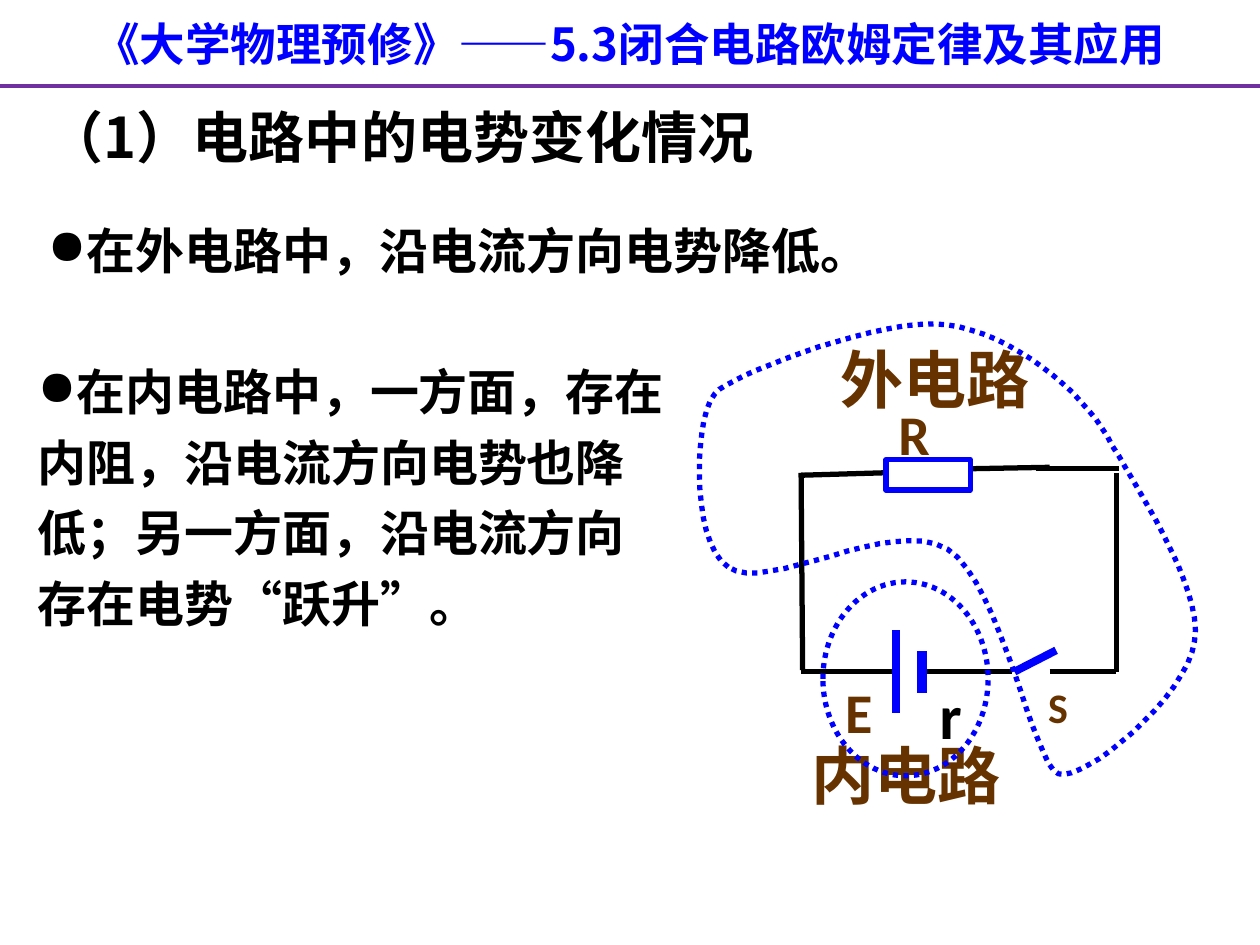
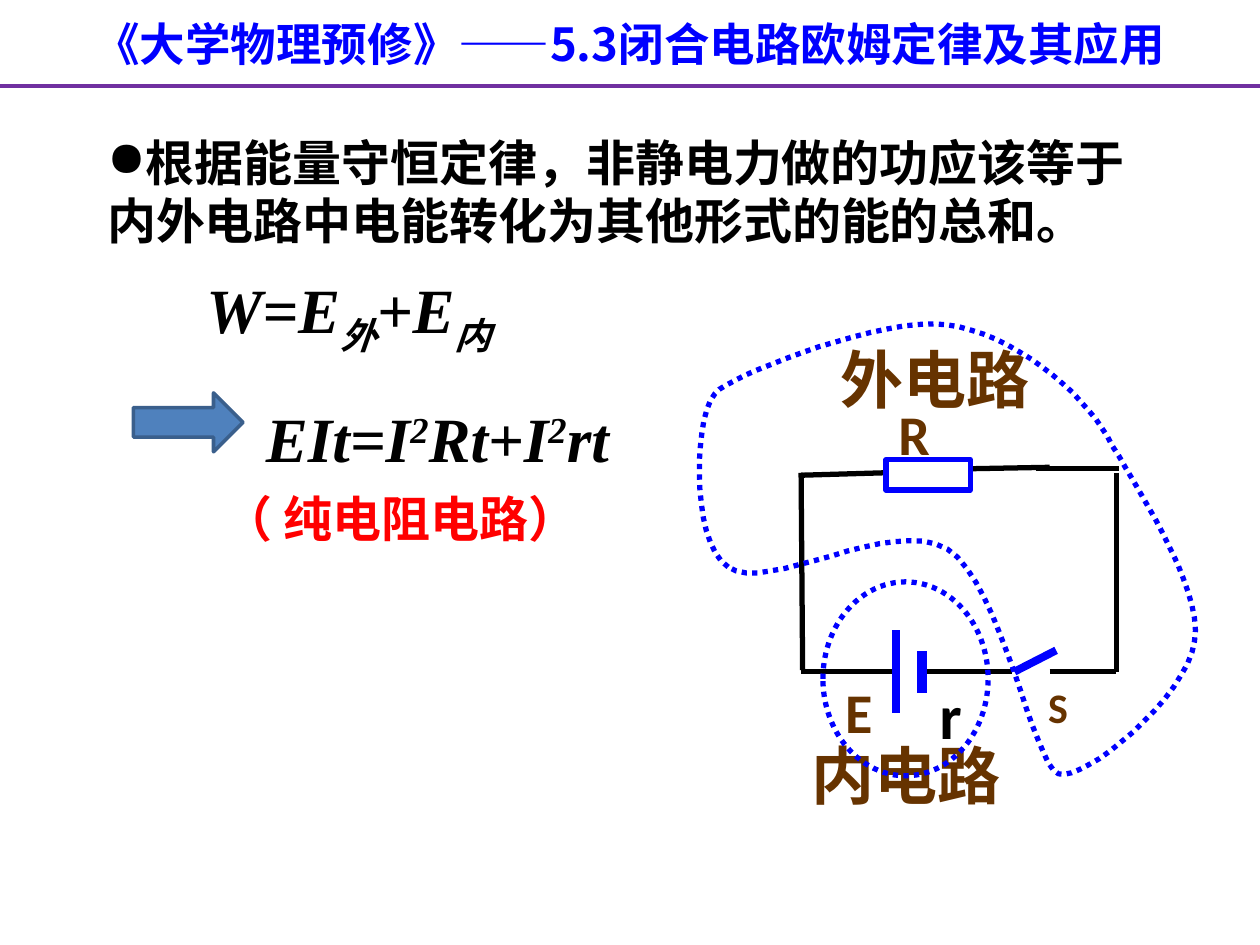
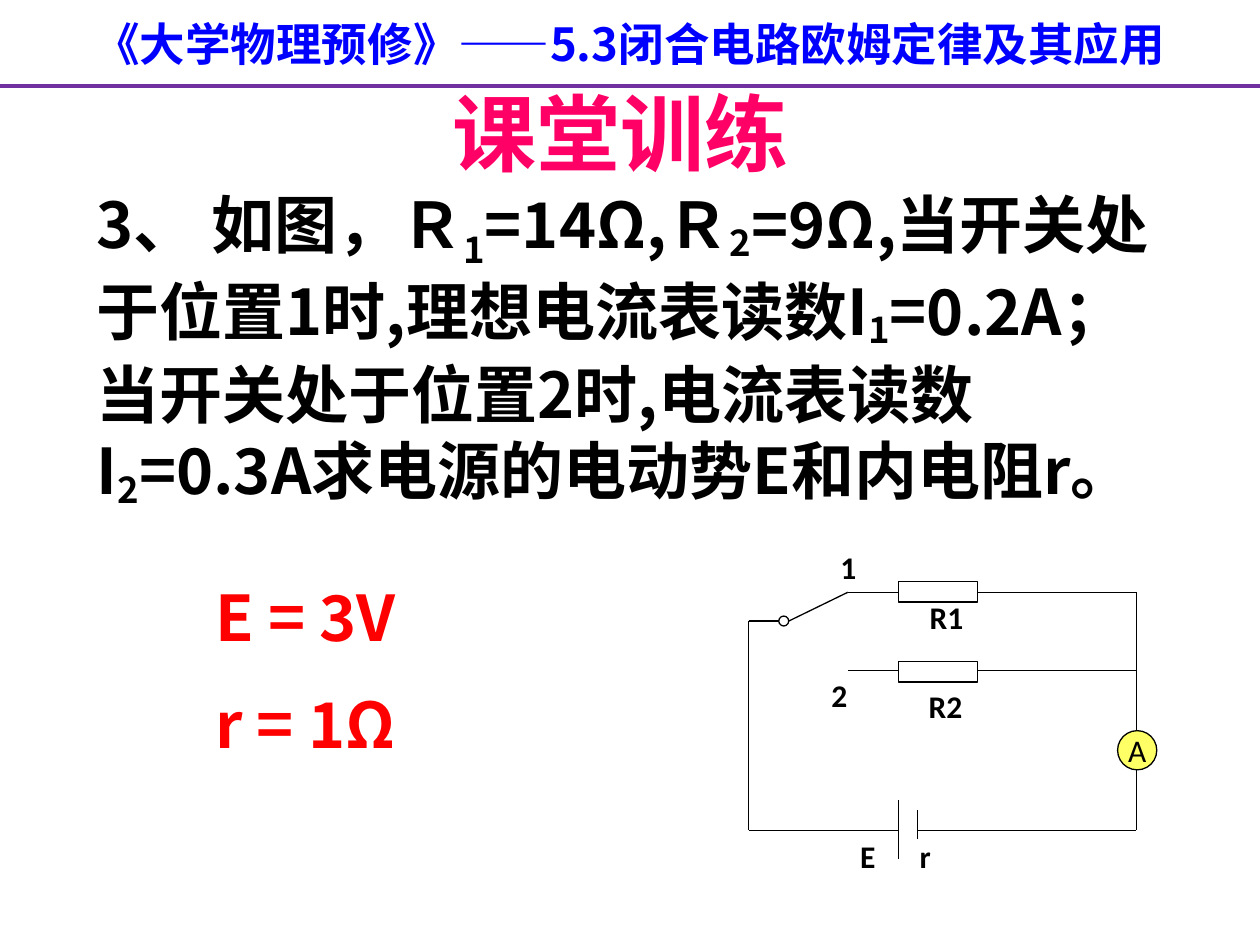
from dataclasses import dataclass

from lxml import etree
from pptx import Presentation
from pptx.dml.color import RGBColor
from pptx.enum.dml import MSO_LINE
from pptx.enum.shapes import MSO_CONNECTOR, MSO_SHAPE
from pptx.enum.text import MSO_ANCHOR, MSO_AUTO_SIZE, PP_ALIGN
from pptx.oxml.ns import qn
from pptx.util import Cm, Pt

STRAIGHT = MSO_CONNECTOR.STRAIGHT
RECT, OVAL, ARROW = MSO_SHAPE.RECTANGLE, MSO_SHAPE.OVAL, MSO_SHAPE.RIGHT_ARROW
DOTTED = MSO_LINE.ROUND_DOT
LEFT, CENTER = PP_ALIGN.LEFT, PP_ALIGN.CENTER
TOP, MIDDLE = MSO_ANCHOR.TOP, MSO_ANCHOR.MIDDLE
GROW, FIXED = MSO_AUTO_SIZE.SHAPE_TO_FIT_TEXT, MSO_AUTO_SIZE.NONE


@dataclass(frozen=True)
class Theme:
    black: RGBColor = RGBColor(0, 0, 0)
    blue: RGBColor = RGBColor(0, 0, 0xFF)
    purple: RGBColor = RGBColor(0x70, 0x30, 0xA0)
    brown: RGBColor = RGBColor(0x66, 0x33, 0)
    red: RGBColor = RGBColor(0xFF, 0, 0)
    pink: RGBColor = RGBColor(0xFF, 0, 0x66)
    yellow: RGBColor = RGBColor(0xFF, 0xFF, 0x66)
    arrow: RGBColor = RGBColor(0x4F, 0x81, 0xBD)
    arrow_edge: RGBColor = RGBColor(0x3A, 0x5F, 0x8C)
    sc: str = "Noto Sans CJK SC"
    jp: str = "Noto Sans CJK JP"
    arial: str = "Arial"
    calibri: str = "Calibri"
    times: str = "Times New Roman"
    header: int = 26
    heading: int = 32
    body: int = 28
    large: int = 36
    display: int = 48
    switch: int = 24
    label: int = 18
    leading: float = 1.2


T = Theme()


def write(shapes, box, paragraphs, size, font, color=T.black, sp=None, bold=True,
          italic=False, align=LEFT, bullet=False, leading=T.leading):
    """Fill sp, or a new text box; a run is (text, baseline in percent, font)."""
    box = [Cm(v) for v in box]
    sp = sp or shapes.add_textbox(*box)
    sp.left, sp.top, sp.width, sp.height = box
    tf = sp.text_frame
    tf.word_wrap, tf.auto_size, tf.vertical_anchor = True, GROW, TOP
    for i, runs in enumerate(paragraphs):
        p = tf.add_paragraph() if i else tf.paragraphs[0]
        if bullet:
            etree.SubElement(p._p.get_or_add_pPr(), qn("a:buChar"), char="●")
        p.alignment = align
        p.line_spacing = Pt(round(size * leading, 1))
        p.space_before = Pt(size / 2 if i else 0)
        for text, baseline, face in [(runs, 0, font)] if isinstance(runs, str) else runs:
            r = p.add_run()
            r.text = text
            r.font.size, r.font.bold, r.font.italic = Pt(size), bold, italic
            r.font.color.rgb = color
            r.font.name = face
            rPr = r._r.get_or_add_rPr()
            east_asian = face if face in (T.sc, T.jp) else T.sc
            etree.SubElement(rPr, qn("a:ea"), typeface=east_asian)
            if baseline:
                rPr.set("baseline", str(baseline * 1000))
    return sp


def add_line(shapes, x1, y1, x2, y2, color=T.black, width=3):
    line = shapes.add_connector(STRAIGHT, Cm(x1), Cm(y1), Cm(x2), Cm(y2))
    line.line.color.rgb = color
    line.line.width = Pt(width)
    etree.SubElement(line._element.spPr, qn("a:effectLst"))
    return line


prs = Presentation()
prs.slide_width, prs.slide_height = Cm(25.4), Cm(19.05)
title_only, blank = prs.slide_layouts[5], prs.slide_layouts[6]
potential = prs.slides.add_slide(title_only)
energy = prs.slides.add_slide(blank)
practice = prs.slides.add_slide(title_only)

# Header shared through the master
header = write(potential.shapes, (0, 0.2, 25.4, 1.37),
               ["《大学物理预修》——5.3闭合电路欧姆定律及其应用"],
               T.header, T.sc, T.blue, align=CENTER)
rule = add_line(potential.shapes, 0, 1.73, 25.4, 1.73, T.purple, 2.25)
for number, sp in enumerate((header, rule), 101):
    sp._element.xpath(".//p:cNvPr")[0].set("id", str(number))
    prs.slide_master.shapes.element.append(sp._element)

# Slide 1: potential around the circuit
s = potential.shapes
write(s, (0.71, 1.93, 16.99, 1.63), ["（1）电路中的电势变化情况"],
      T.heading, T.sc, sp=s.title)
write(s, (0.71, 4.32, 17.2, 1.45), ["在外电路中，沿电流方向电势降低。"],
      T.body, T.arial, bullet=True)
write(s, (0.51, 6.93, 13.21, 5.99),
      ["在内电路中，一方面，存在内阻，沿电流方向电势也降低；"
       "另一方面，沿电流方向存在电势“跃升”。"],
      T.body, T.arial, bullet=True, leading=1.44)

# Slide 2: energy conservation
s = energy.shapes
write(s, (1.91, 2.54, 21.79, 2.64),
      ["根据能量守恒定律，非静电力做的功应该等于内外电路中电能转化为其他形式的能的总和。"],
      T.body, T.arial, bullet=True)
write(s, (3.91, 5.54, 10.8, 1.78),
      [[("W=E", 0, T.times), ("外", -25, T.times), ("+E", 0, T.times), ("内", -25, T.times)]],
      T.large, T.times, italic=True)
write(s, (5.11, 7.92, 8.99, 1.78),
      [[("EIt=I", 0, T.times), ("2", 30, T.times), ("Rt+I", 0, T.times),
        ("2", 30, T.times), ("rt", 0, T.times)]],
      T.large, T.times, italic=True)
arrow = s.add_shape(ARROW, Cm(2.69), Cm(7.92), Cm(2.21), Cm(1.19))
arrow.shadow.inherit = False
arrow.fill.solid()
arrow.fill.fore_color.rgb = T.arrow
arrow.line.color.rgb = T.arrow_edge
arrow.line.width = Pt(2)
note = write(s, (3.71, 9.73, 9.19, 1.45), ["（ 纯电阻电路）"], T.body, T.arial, T.red)
note.text_frame.paragraphs[0]._p.get_or_add_pPr().set("marL", str(Cm(0.55)))

# Circuit with its outer and inner parts, on slides 1 and 2
wires = [
    (21.16, 13.54, 22.5, 13.54), (22.5, 9.53, 22.5, 13.54),
    (16.18, 13.51, 16.15, 9.53), (16.15, 9.58, 17.86, 9.53),
    (18.69, 13.54, 20.4, 13.54), (18.06, 13.54, 16.15, 13.54),
    (19.56, 9.45, 21.16, 9.42), (22.56, 9.45, 20.88, 9.45),
]
battery_and_switch = [
    (18.06, 12.7, 18.06, 14.38, 4.5), (18.59, 13.13, 18.59, 13.97, 6),
    (20.45, 13.54, 21.29, 13.11, 4.5),
]
circuit_labels = [
    ("r", (18.69, 13.51, 1.9, 1.78), T.large, T.black),
    ("E", (16.79, 13.54, 1.47, 1.6), T.heading, T.brown),
    ("R", (17.86, 7.92, 2.11, 1.6), T.heading, T.brown),
    ("S", (20.88, 13.61, 2.11, 1.27), T.switch, T.brown),
]
region_labels = [("内电路", (16.1, 14.73, 4.65, 1.78)), ("外电路", (16.69, 6.73, 4.65, 1.78))]
# Bezier chain: start, then two controls and an end for each curve
outer_region = [
    (14.68, 11.43),
    (13.89, 10.9), (13.97, 8.2), (14.5, 7.85),
    (15.04, 7.47), (17.78, 6.38), (19.1, 6.55),
    (20.4, 6.71), (21.82, 7.9), (22.33, 8.81),
    (22.83, 9.73), (24.26, 11.79), (24.08, 12.93),
    (23.93, 14.07), (21.84, 15.77), (21.34, 15.6),
    (20.83, 15.44), (20.19, 11.76), (19.1, 11.07),
    (17.98, 10.39), (15.44, 11.99), (14.68, 11.43),
]
STEPS = 16
outline = []
for i in range(0, len(outer_region) - 1, 3):
    curve = outer_region[i:i + 4]
    for step in range(1, STEPS + 1):
        t = step / STEPS
        weights = ((1 - t) ** 3, 3 * t * (1 - t) ** 2, 3 * t ** 2 * (1 - t), t ** 3)
        outline.append(tuple(100 * sum(w * point[axis] for w, point in zip(weights, curve))
                             for axis in (0, 1)))

for slide in (potential, energy):
    s = slide.shapes
    circuit = s.add_group_shape().shapes
    for ends in wires:
        add_line(circuit, *ends)
    for *ends, width in battery_and_switch:
        add_line(circuit, *ends, T.blue, width)
    resistor = circuit.add_shape(RECT, Cm(17.86), Cm(9.27), Cm(1.7), Cm(0.61))
    for text, box, size, color in circuit_labels:
        write(circuit, box, [text], size, T.calibri, color)
    for text, box in region_labels:
        write(s, box, [text], T.large, T.calibri, T.brown)
    inner = s.add_shape(OVAL, Cm(16.59), Cm(11.73), Cm(3.33), Cm(3.91))
    builder = s.build_freeform(*outline[-1], scale=Cm(0.01))
    builder.add_line_segments(outline[:-1], close=True)
    outer = builder.convert_to_shape()
    for sp in (resistor, inner, outer):
        sp.shadow.inherit = False
        sp.fill.background()
        sp.line.color.rgb = T.blue
        sp.line.width = Pt(3)
    inner.line.dash_style = outer.line.dash_style = DOTTED

# Slide 3: exercise
s = practice.shapes
write(s, (4.5, 1.52, 16, 2.29), ["课堂训练"], T.display, T.calibri, T.pink,
      sp=s.title, align=CENTER)
write(s, (1.7, 3.73, 22.2, 6.4),
      [[("3、 如图，Ｒ", 0, T.jp), ("1", -25, T.sc), ("=14Ω,Ｒ", 0, T.jp), ("2", -14, T.jp),
        ("=9Ω,当开关处于位置", 0, T.jp), ("1", 0, T.sc), ("时,理想电流表读数", 0, T.jp),
        ("I", 0, T.sc), ("1", -14, T.sc), ("=0.2A；当开关处于位置2时,电流表读数", 0, T.jp),
        ("I", 0, T.sc), ("2", -14, T.jp), ("=0.3A求电源的电动势E和内电阻r。", 0, T.jp)]],
      T.large, T.jp, leading=1.27)

circuit = s.add_group_shape().shapes
left, branch, part, part_end, cell, right = 15.09, 17.09, 18.11, 19.71, 18.49, 22.91
upper, pivot, lower, base = 11.94, 12.52, 13.51, 16.74
for ends in [
    (left, pivot, left, base), (left, pivot, 15.7, pivot), (15.9, pivot, branch, upper),
    (branch, upper, part, upper), (part_end, upper, right, upper),
    (right, upper, right, base),
    (branch, lower, part, lower), (part_end, lower, right, lower),
    (left, base, part, base), (part, 16.13, part, 17.32),
    (cell, 16.33, cell, 16.92), (cell, base, right, base),
]:
    add_line(circuit, *ends, width=0.75)
meter_box = (22.53, 14.73, 0.79, 0.79)
for kind, box, fill in [
    (OVAL, (15.7, 12.42, 0.2, 0.2), None),
    (RECT, (part, 11.73, 1.6, 0.41), None),
    (RECT, (part, 13.34, 1.6, 0.41), None),
    (OVAL, meter_box, T.yellow),
]:
    sp = circuit.add_shape(kind, *[Cm(v) for v in box])
    sp.shadow.inherit = False
    sp.line.color.rgb = T.black
    sp.line.width = Pt(0.75)
    if fill is None:
        sp.fill.background()
    else:
        sp.fill.solid()
        sp.fill.fore_color.rgb = fill
        write(circuit, box, ["A"], T.label, T.calibri, sp=sp, bold=False, align=CENTER)
        tf = sp.text_frame
        tf.word_wrap, tf.auto_size, tf.vertical_anchor = False, FIXED, MIDDLE
for text, x, y, width in [
    ("1", 16.69, 10.92, 2.01), ("R1", 18.49, 11.94, 2.01), ("R2", 18.47, 13.72, 2.01),
    ("2", 16.51, 13.51, 1.04), ("E", 17.09, 16.74, 0.79), ("r", 18.29, 16.74, 0.79),
]:
    write(circuit, (x, y, width, 1.02), [text], T.label, T.calibri)
write(s, (4.09, 11.53, 8.2, 4.06), ["E = 3V", "r = 1Ω"], T.large, T.sc, T.red)

prs.save("out.pptx")
